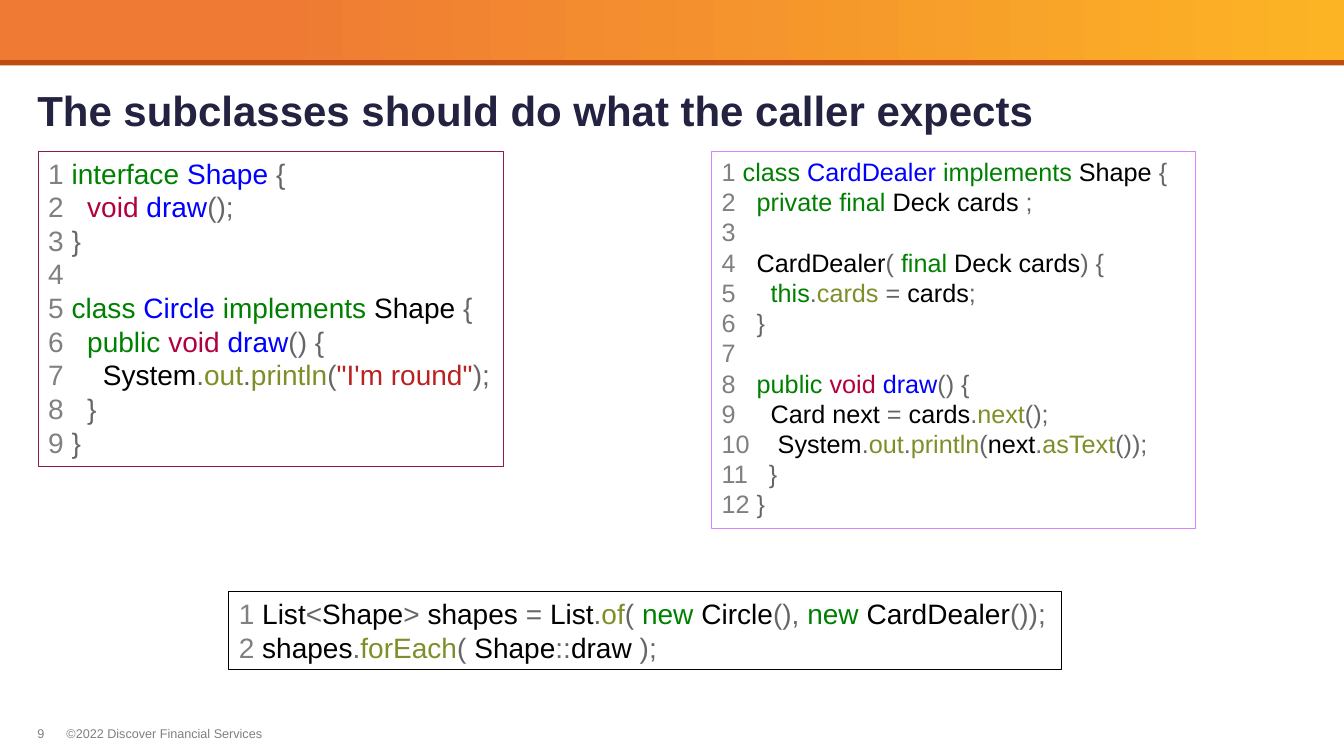
from pptx import Presentation
from pptx.dml.color import RGBColor
from pptx.enum.shapes import MSO_SHAPE
from pptx.enum.text import MSO_ANCHOR, MSO_AUTO_SIZE
from pptx.util import Pt

PX = 9144  # 100 px to the inch
WIDE, HIGH = 1333, 750
GREY = "808080"

# Each code run starts with the letter of its colour
INK = {
    "k": "008000",  # keyword
    "d": "0000FF",  # declared name
    "v": "B10040",  # void
    "m": "7D8F29",  # member
    "s": "BB2121",  # string
    "n": "000000",  # plain name
    "p": "666666",  # punctuation
}

CIRCLE = [
    "kinterface |dShape |p{",
    "  vvoid |ddraw|p();",
    "p}",
    "",
    "kclass |dCircle |kimplements |nShape |p{",
    "  kpublic |vvoid |ddraw|p() {",
    "    nSystem|p.|mout|p.|mprintln|p(|s\"I'm round\"|p);",
    "  p}",
    "p}",
]
DEALER = [
    "kclass |dCardDealer |kimplements |nShape |p{",
    "  kprivate final |nDeck cards |p;",
    "",
    "  nCardDealer|p( |kfinal |nDeck cards|p) {",
    "    kthis|p.|mcards |p= |ncards|p;",
    "  p}",
    "",
    "  kpublic |vvoid |ddraw|p() {",
    "    nCard next |p= |ncards|p.|mnext|p();",
    "   nSystem|p.|mout|p.|mprintln|p(|nnext|p.|masText|p());",
    "  p}",
    "p}",
]
CALLER = [
    "nList|p<|nShape|p> |nshapes |p= |nList|p.|mof|p( "
    "|knew |nCircle|p(), |knew |nCardDealer|p());",
    "nshapes|p.|mforEach|p( |nShape|p::|ndraw |p);",
]


def color(code):
    return RGBColor.from_string(code)


def place(box):
    return [n * PX for n in box]


def add_run(para, text, size, ink, bold=False):
    run = para.add_run()
    run.text = text
    font = run.font
    font.name, font.size, font.bold = "Arial", Pt(size), bold
    font.color.rgb = color(ink)


def add_box(slide, box, pad=(0, 0, 0, 0), wrap=False, grow=True):
    """Add an empty text box; pad is left, top, right, bottom."""
    shape = slide.shapes.add_textbox(*place(box))
    frame = shape.text_frame
    frame.word_wrap = wrap
    frame.auto_size = MSO_AUTO_SIZE.SHAPE_TO_FIT_TEXT if grow else MSO_AUTO_SIZE.NONE
    (frame.margin_left, frame.margin_top,
     frame.margin_right, frame.margin_bottom) = place(pad)
    return shape


def add_bar(slide, box):
    """Draw the gradient band with a dark strip below it."""
    left, top, width, height = box
    for tall in (height, height - 5):
        bar = slide.shapes.add_shape(
            MSO_SHAPE.RECTANGLE, *place((left, top, width, tall)))
        bar.shadow.inherit = False
        bar.line.fill.background()
        if tall == height:
            bar.fill.solid()
            bar.fill.fore_color.rgb = color("BF4C11")
        else:
            bar.fill.gradient()
            bar.fill.gradient_angle = 180
            stops = ((0, "FCB424"), (0.8, "EF7A34"))
            for stop, (spot, code) in zip(bar.fill.gradient_stops, stops):
                stop.position = spot
                stop.color.rgb = color(code)


def add_title(slide, box, text):
    frame = add_box(slide, box, (0, 10, 0, 0), wrap=True, grow=False).text_frame
    frame.vertical_anchor = MSO_ANCHOR.MIDDLE
    para = frame.paragraphs[0]
    para.line_spacing = 0.85
    add_run(para, text, 30, "232241", bold=True)


def add_code(slide, box, lines, size, edge, wrap=False):
    """Draw a framed listing with numbered, coloured lines."""
    shape = add_box(slide, box, (10, 5, 10, 5), wrap)
    shape.line.color.rgb = color(edge)
    shape.line.width = Pt(0.75)
    frame = shape.text_frame
    for num, line in enumerate(lines, 1):
        para = frame.paragraphs[0] if num == 1 else frame.add_paragraph()
        code = line.lstrip()
        indent = " " * (len(line) - len(code))
        add_run(para, f"{num} {indent}" if code else str(num), size, GREY)
        for part in code.split("|") if code else []:
            add_run(para, part[1:], size, INK[part[0]])


def add_foot(slide, box, page, text):
    left, top, width, height = box
    for shift, span, words in ((0, 15, page), (29, width - 29, text)):
        frame = add_box(slide, (left + shift, top, span, height)).text_frame
        add_run(frame.paragraphs[0], words, 9, GREY)


def main():
    deck = Presentation()
    deck.slide_width, deck.slide_height = WIDE * PX, HIGH * PX
    slide = deck.slides.add_slide(deck.slide_layouts[6])
    add_bar(slide, (0, 0, WIDE, 65))
    add_foot(slide, (37, 720, 225, 15), "9", "©2022 Discover Financial Services")
    add_title(slide, (37, 65, 1260, 85),
              "The subclasses should do what the caller expects")
    add_code(slide, (706, 150, 480, 374), DEALER, 18, "D883FF", wrap=True)
    add_code(slide, (38, 150, 461, 313), CIRCLE, 20, "941651")
    add_code(slide, (227, 587, 826, 77), CALLER, 20, "000000")
    deck.save("out.pptx")


if __name__ == "__main__":
    main()
